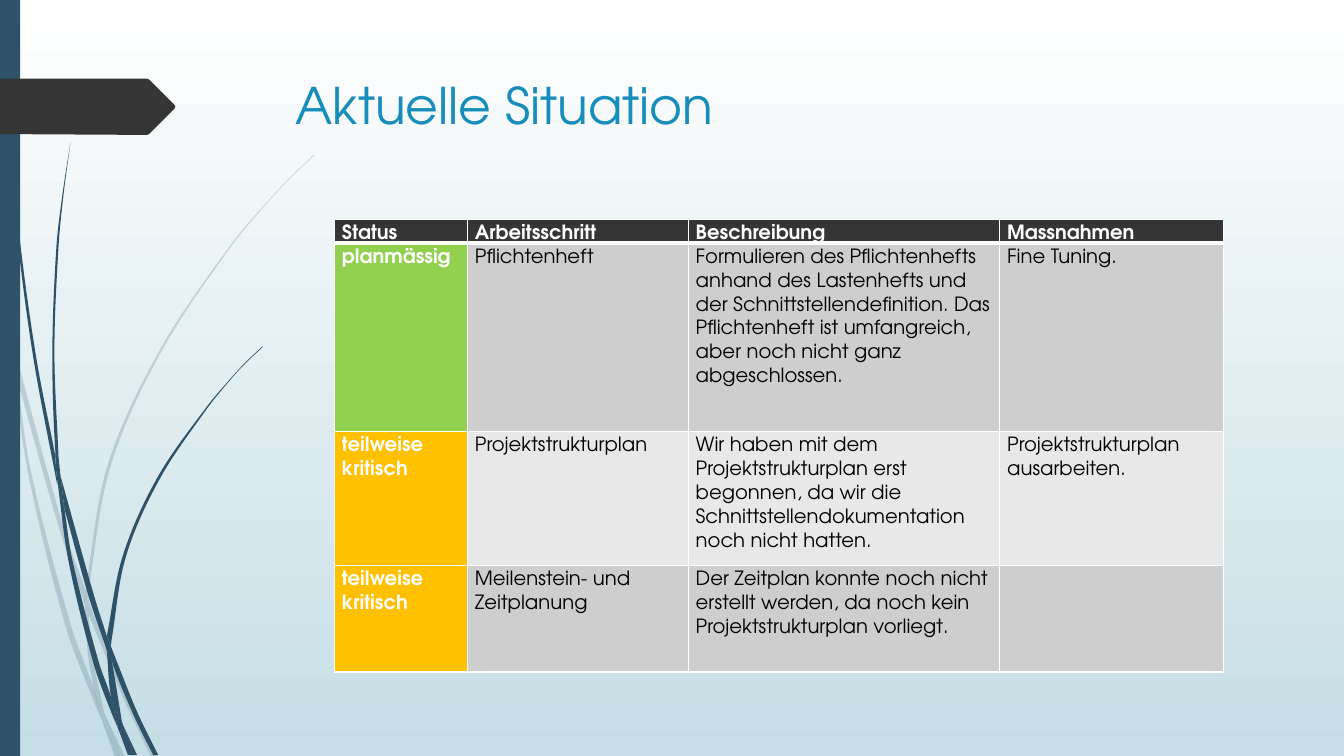
import math

import lxml.etree
import pptx
import pptx.dml.color
import pptx.enum.shapes
import pptx.oxml.ns
import pptx.util

FONT = "TeX Gyre Adventor"
NAVY, CHARCOAL, WHITE, BLACK = "2E5369", "353535", "FFFFFF", "000000"
GREEN, AMBER = "92D050", "FFC000"
BANDS = ("CECECE", "E8E8E8")

TITLE = "Aktuelle Situation"
HEADER = ("Status", "Arbeitsschritt", "Beschreibung", "Massnahmen")
STEPS = [
    ("planmässig", "Pflichtenheft",
     "Formulieren des Pflichtenhefts anhand des Lastenhefts und der "
     "Schnittstellendefinition. Das Pflichtenheft ist umfangreich, aber noch "
     "nicht ganz abgeschlossen.", "Fine Tuning."),
    ("teilweise kritisch", "Projektstrukturplan",
     "Wir haben mit dem Projektstrukturplan erst begonnen, da wir die "
     "Schnittstellendokumentation noch nicht hatten.",
     "Projektstrukturplan ausarbeiten."),
    ("teilweise kritisch", "Meilenstein- und Zeitplanung",
     "Der Zeitplan konnte noch nicht erstellt werden, da noch kein "
     "Projektstrukturplan vorliegt.", ""),
]
STATUS_COLORS = {"planmässig": GREEN, "teilweise kritisch": AMBER}
COLUMN_WIDTHS = (95, 157.7, 222.5, 159.8)
ROW_HEIGHTS = (17.3, 134.6, 95.6, 76)

# Each piece of grass: left edge going down, right edge going back up.
PALE_GRASS = [
    ([(0, 215.3), (7.2, 247.7), (7.9, 252)], [(6.5, 231.8), (0, 203)]),
    ([(12.2, 270.7), (41.8, 375.8), (60.5, 431.3)],
     [(61.2, 421.9), (44.6, 374.4), (10.1, 248.4)]),
    ([(63.4, 439.2), (88.6, 499.7), (108, 540.7)],
     [(111.6, 540.7), (91.4, 498.2), (66.2, 437), (63.4, 429.1)]),
    ([(75.6, 511.9), (85.7, 540.7)], [(89.3, 540.7)]),
    ([(7.9, 252), (20.2, 338.4), (46.8, 447.1), (66.2, 499), (72.7, 514.1)],
     [(71.3, 509), (67, 491.8), (50.4, 445.7), (22.3, 337.7), (12.2, 270.7)]),
    ([(60.5, 431.3), (62.6, 465.1), (67, 491.8), (69.1, 498.2), (75.6, 511.9)],
     [(74.2, 508.3), (65.5, 465.1), (63.4, 439.2), (63.4, 437.8)]),
    ([(224.6, 110.2), (208.1, 126), (193, 141.8), (164.2, 175.7),
      (113.8, 250.6), (77, 331.9), (61.2, 420.5), (61.2, 421.9)],
     [(63.4, 429.1), (63.4, 420.5), (79.2, 332.6), (115.2, 251.3),
      (164.9, 176.4), (193, 142.6), (208.8, 126), (224.6, 110.9)]),
    ([(72.7, 514.1), (82.1, 540.7)], [(85.7, 540.7)]),
    ([(61.2, 421.9), (60.5, 431.3), (63.4, 437.8)],
     [(63.4, 439.2), (63.4, 429.1)]),
    ([(67, 491.8), (71.3, 509), (72.7, 514.1), (85.7, 540.7)],
     [(75.6, 511.9), (69.1, 498.2)]),
]
DARK_GRASS = [
    ([(2.2, 0), (2.9, 34.6), (5, 79.2), (12.2, 167.8), (23.8, 255.6),
      (40.3, 343.4), (41, 346.3)],
     [(39.6, 329), (39.6, 326.2), (25.9, 255.6), (13.7, 167), (5.8, 78.5),
      (3.6, 34.6), (2.9, 0)]),
    ([(46.1, 363.6), (63.4, 426.2), (76.3, 464.4)],
     [(76.3, 454.3), (67, 424.8), (43.2, 339.8)]),
    ([(79.2, 461.5), (79.9, 472.3), (95, 509.8), (109.4, 539.3)],
     [(113, 539.3), (97.9, 508.3), (81.4, 467.3)]),
    ([(41, 343.4), (49, 401), (67, 474.5), (79.9, 509.8), (84.2, 519.8)],
     [(83.5, 516.2), (79.2, 497.5), (70.6, 473), (51.8, 400.3), (46.1, 363.6)]),
    ([(50.4, 101.5), (44.6, 139), (40.3, 176.4), (37.4, 251.3), (39.6, 323.3),
      (43.2, 339.8)],
     [(41.8, 326.2), (38.9, 251.3), (41.8, 176.4), (45.4, 139), (50.4, 101.5)]),
    ([(87.8, 517.7), (95.8, 539.3)], [(97.9, 539.3)]),
    ([(39.6, 323.3), (39.6, 326.2), (41, 343.4), (46.1, 363.6)],
     [(43.2, 339.8)]),
    ([(187.2, 247.7), (176.4, 257.8), (166.3, 268.6), (146.9, 291.6),
      (112.3, 341.3), (87.8, 396.7), (76.3, 454.3)],
     [(79.2, 461.5), (79.9, 455.8), (90, 397.4), (113.8, 342.7),
      (147.6, 292.3), (166.3, 269.3), (176.4, 258.5), (187.9, 247.7)]),
    ([(84.2, 519.8), (91.4, 539.3)], [(94.3, 539.3)]),
    ([(76.3, 464.4), (79.2, 497.5), (83.5, 508.3), (87.8, 517.7)],
     [(87.1, 515.5), (79.9, 472.3), (78.5, 468.7)]),
    ([(76.3, 454.3), (76.3, 464.4), (78.5, 468.7), (79.9, 472.3)],
     [(79.2, 461.5)]),
    ([(79.2, 497.5), (83.5, 516.2), (84.2, 519.8), (93.6, 539.3)],
     [(95.8, 539.3), (87.8, 517.7), (83.5, 508.3)]),
]
ARROW_CORNERS = [(0, 56.2), (105.1, 56.2), (106.6, 56.9), (124.6, 74.9),
                 (125.3, 76.2), (124.6, 77.8), (106.6, 95.8), (105.1, 96.4),
                 (0, 95.8)]


def rgb(color):
    """Turn a hex string into a colour."""
    return pptx.dml.color.RGBColor.from_string(color)


def qualified(tag):
    """Give the full name of a drawing tag."""
    return pptx.oxml.ns.qn("a:" + tag)


def paint(shape, color, opacity=100):
    """Fill a shape without outline or shadow."""
    shape.shadow.inherit = False
    shape.line.fill.background()
    shape.fill.solid()
    shape.fill.fore_color.rgb = rgb(color)
    if opacity < 100:
        value = next(shape._element.spPr.iter(qualified("srgbClr")))
        lxml.etree.SubElement(value, qualified("alpha"),
                              val=str(opacity * 1000))


def curve_edge(anchors):
    """List two control points and an end for each stretch of an edge."""
    padded = [anchors[0], *anchors, anchors[-1]]
    points = []
    for a, b, c, d in zip(padded, padded[1:], padded[2:], padded[3:]):
        reach = math.dist(b, c) / 3
        leave, arrive = reach / math.dist(a, c), reach / math.dist(b, d)
        points += [(b[0] + (c[0] - a[0]) * leave, b[1] + (c[1] - a[1]) * leave),
                   (c[0] - (d[0] - b[0]) * arrive,
                    c[1] - (d[1] - b[1]) * arrive), c]
    return points


def add_outline(slide, edges, color, opacity=100):
    """Draw a closed outline of smooth edges that meet at corners."""
    points = []
    for edge in edges:
        if points:
            points += [points[-1], edge[0], edge[0]]
        else:
            points = [edge[0]]
        points += curve_edge(edge)
    start, *others = [tuple(map(pptx.util.Pt, point)) for point in points]
    builder = slide.shapes.build_freeform(*start, scale=1.0)
    builder.add_line_segments(others, close=True)
    shape = builder.convert_to_shape()
    segments = list(shape._element.iter(qualified("lnTo")))
    for curve, second, third in zip(*[iter(segments)] * 3):
        bezier = lxml.etree.Element(qualified("cubicBezTo"))
        curve.addprevious(bezier)
        for segment in (curve, second, third):
            bezier.append(segment[0])
            segment.getparent().remove(segment)
    paint(shape, color, opacity)


def style_font(paragraph, size, color, bold=False):
    """Set the font of a paragraph."""
    font = paragraph.font
    font.name, font.size, font.bold = FONT, pptx.util.Pt(size), bold
    font.color.rgb = rgb(color)


def set_border(cell, side, width):
    """Give one side of a cell a white line."""
    line = lxml.etree.SubElement(cell._tc.get_or_add_tcPr(),
                                 qualified("ln" + side),
                                 w=str(pptx.util.Pt(width)))
    fill = lxml.etree.SubElement(line, qualified("solidFill"))
    lxml.etree.SubElement(fill, qualified("srgbClr"), val=WHITE)


def fill_cell(cell, text, row, column):
    """Write and style one table cell."""
    heavy_side = {0: "B", 1: "T"}.get(row)
    for side in "LRTB":
        set_border(cell, side, 3 if side == heavy_side else 1)
    if row == 0:
        background = CHARCOAL
    else:
        background = BANDS[(row - 1) % 2] if column else STATUS_COLORS[text]
    cell.fill.solid()
    cell.fill.fore_color.rgb = rgb(background)
    cell.margin_left = cell.margin_right = pptx.util.Pt(5.3)
    cell.margin_top = cell.margin_bottom = 0
    cell.text = text
    paragraph = cell.text_frame.paragraphs[0]
    paragraph.line_spacing = pptx.util.Pt(17)
    paragraph.space_before = paragraph.space_after = pptx.util.Pt(6)
    emphasis = row == 0 or column == 0
    style_font(paragraph, 14, WHITE if emphasis else BLACK, emphasis)


presentation = pptx.Presentation()
presentation.slide_width = pptx.util.Pt(960)
presentation.slide_height = pptx.util.Pt(540)
slide = presentation.slides.add_slide(presentation.slide_layouts[6])
background = slide.background.fill
background.gradient()
background.gradient_angle = 270
for stop, color in zip(background.gradient_stops, (WHITE, "C5DEE5")):
    stop.color.rgb = rgb(color)

for grass, opacity in ((PALE_GRASS, 20), (DARK_GRASS, 100)):
    for edges in grass:
        add_outline(slide, edges, NAVY, opacity)
paint(slide.shapes.add_shape(pptx.enum.shapes.MSO_SHAPE.RECTANGLE, 0, 0,
                             pptx.util.Pt(14.4), pptx.util.Pt(540)), NAVY)
add_outline(slide, [[corner] for corner in ARROW_CORNERS], CHARCOAL)

title = slide.shapes.add_textbox(*map(pptx.util.Pt, (204, 49.5, 702, 100.8)))
title.text_frame.word_wrap = True
title.text_frame.text = TITLE
style_font(title.text_frame.paragraphs[0], 36, "178DBB")

rows = [HEADER, *STEPS]
table = slide.shapes.add_table(
    len(rows), len(HEADER), pptx.util.Pt(239), pptx.util.Pt(156.5),
    pptx.util.Pt(sum(COLUMN_WIDTHS)), pptx.util.Pt(sum(ROW_HEIGHTS))).table
for column, width in zip(table.columns, COLUMN_WIDTHS):
    column.width = pptx.util.Pt(width)
for row, (texts, height) in enumerate(zip(rows, ROW_HEIGHTS)):
    table.rows[row].height = pptx.util.Pt(height)
    for column, text in enumerate(texts):
        fill_cell(table.cell(row, column), text, row, column)

presentation.save("out.pptx")
